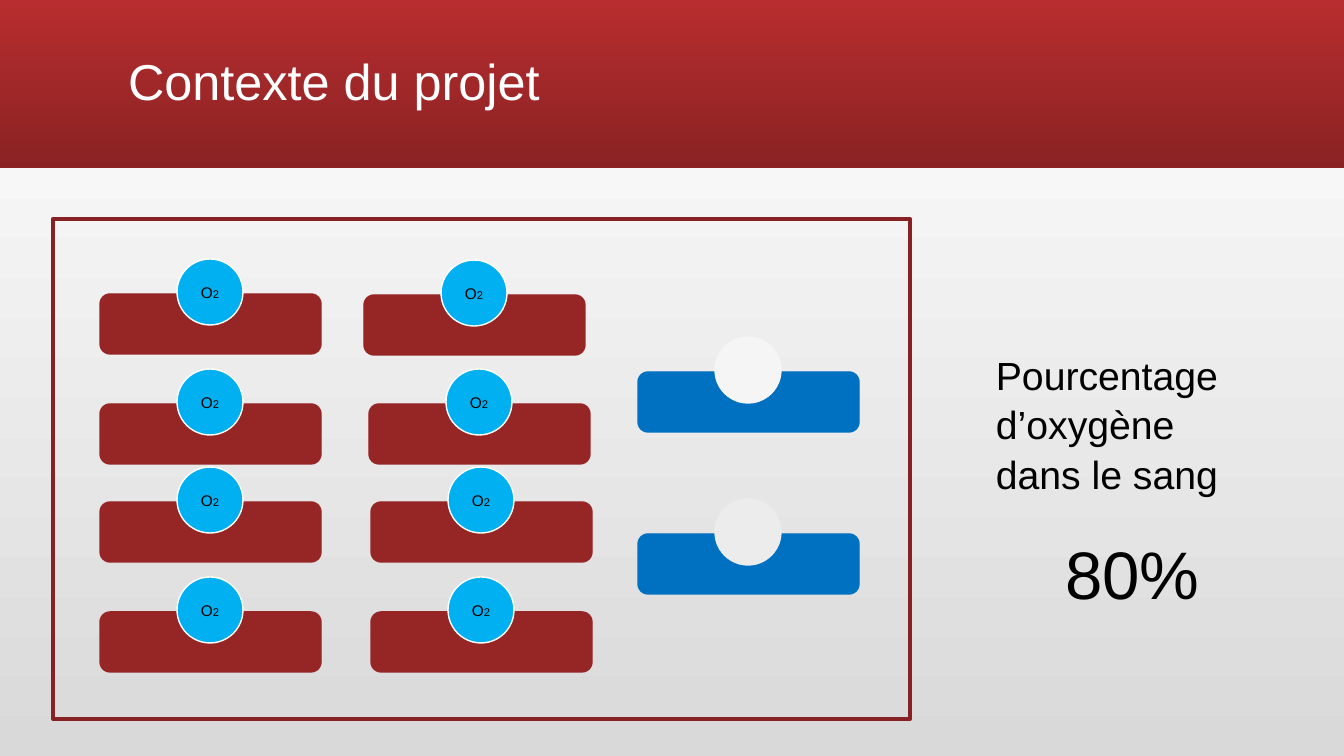
from pptx import Presentation
from pptx.dml.color import RGBColor
from pptx.enum.shapes import MSO_SHAPE
from pptx.enum.text import MSO_ANCHOR, MSO_AUTO_SIZE, PP_ALIGN
from pptx.util import Pt

PX = 12192000 / 1344
WHITE = RGBColor(0xFF, 0xFF, 0xFF)
BLACK = RGBColor(0, 0, 0)
GREY = RGBColor(0xD9, 0xD9, 0xD9)
HEADER_TOP = RGBColor(0xB8, 0x2D, 0x2F)
HEADER_BOTTOM = RGBColor(0x8A, 0x22, 0x23)
FRAME_RED = RGBColor(0x88, 0x21, 0x23)
BLOOD_RED = RGBColor(0x96, 0x25, 0x26)
BLOOD_BLUE = RGBColor(0x00, 0x70, 0xC0)
OXYGEN_BLUE = RGBColor(0x00, 0xB0, 0xF0)
EMPTY_UPPER = RGBColor(0xF5, 0xF5, 0xF5)
EMPTY_LOWER = RGBColor(0xEC, 0xEC, 0xEC)


def px(*lengths):
    return [round(length * PX) for length in lengths]


def add_outlined(shapes, kind, box, fill, line, width=1):
    """Add a shadowless preset shape; a fill of None leaves it hollow."""
    shape = shapes.add_shape(kind, *px(*box))
    shape.shadow.inherit = False
    if fill is None:
        shape.fill.background()
    else:
        shape.fill.solid()
        shape.fill.fore_color.rgb = fill
    shape.line.color.rgb = line
    shape.line.width = Pt(width)
    return shape


prs = Presentation()
prs.slide_width, prs.slide_height = px(1344, 756)
slide = prs.slides.add_slide(prs.slide_layouts[5])

# Background and header band
header = slide.shapes.add_shape(MSO_SHAPE.RECTANGLE, *px(0, 0, 1344, 168))
header.shadow.inherit = False
header.line.fill.background()
slide.shapes._spTree.insert(2, header._element)
for gradient, angle, colors in (
    (slide.background.fill, 90, (GREY, WHITE)),
    (header.fill, 270, (HEADER_TOP, HEADER_BOTTOM)),
):
    gradient.gradient()
    gradient.gradient_angle = angle
    for stop, color, position in zip(gradient.gradient_stops, colors, (0, 1)):
        stop.color.rgb = color
        stop.position = position

title = slide.shapes.title
title.left, title.top, title.width, title.height = px(118, 11, 1109, 146)
title.text_frame.text = "Contexte du projet"
title.text_frame.auto_size = MSO_AUTO_SIZE.NONE
title.text_frame.vertical_anchor = MSO_ANCHOR.MIDDLE
heading = title.text_frame.paragraphs[0]
heading.alignment = PP_ALIGN.LEFT
heading.line_spacing = 0.9
heading.font.size = Pt(36)
heading.font.name = "Arial"
heading.font.color.rgb = WHITE

# Haemoglobin: a bar carrying oxygen, or an empty site
add_outlined(slide.shapes, MSO_SHAPE.RECTANGLE, (53, 219, 857, 500), None, FRAME_RED, 3)
oxygenated = [
    (100, 294), (100, 404), (100, 502), (100, 612),
    (364, 295), (369, 404), (371, 502), (371, 612),
]
haemoglobins = [(*place, BLOOD_RED, OXYGEN_BLUE, WHITE) for place in oxygenated] + [
    (638, 372, BLOOD_BLUE, EMPTY_UPPER, EMPTY_UPPER),
    (638, 534, BLOOD_BLUE, EMPTY_LOWER, EMPTY_LOWER),
]
for left, top, bar_color, site_color, site_line in haemoglobins:
    group = slide.shapes.add_group_shape()
    add_outlined(group.shapes, MSO_SHAPE.FLOWCHART_ALTERNATE_PROCESS,
                 (left, top, 221, 60), bar_color, bar_color)
    site = add_outlined(group.shapes, MSO_SHAPE.OVAL,
                        (left + 77, top - 35, 66, 66), site_color, site_line)
    if site_color == OXYGEN_BLUE:
        frame = site.text_frame
        frame.margin_left = frame.margin_right = 0
        frame.margin_top = frame.margin_bottom = 0
        frame.vertical_anchor = MSO_ANCHOR.MIDDLE
        label = frame.paragraphs[0]
        label.alignment = PP_ALIGN.CENTER
        label.font.name = "Arial"
        label.font.color.rgb = BLACK
        for symbol, size in (("O", 11), ("2", 8)):
            run = label.add_run()
            run.text = symbol
            run.font.size = Pt(size)

# Oxygen level
level = slide.shapes.add_textbox(*px(986, 344, 293, 265)).text_frame
level.word_wrap = True
level.text = "Pourcentage d’oxygène dans le sang\n80%"
caption, value = level.paragraphs
value.alignment = PP_ALIGN.CENTER
value.space_before = Pt(22)
for paragraph, size in ((caption, 28), (value, 48)):
    paragraph.line_spacing = 1.05
    paragraph.font.size = Pt(size)
    paragraph.font.name = "Arial"
    paragraph.font.color.rgb = BLACK

prs.save("out.pptx")
